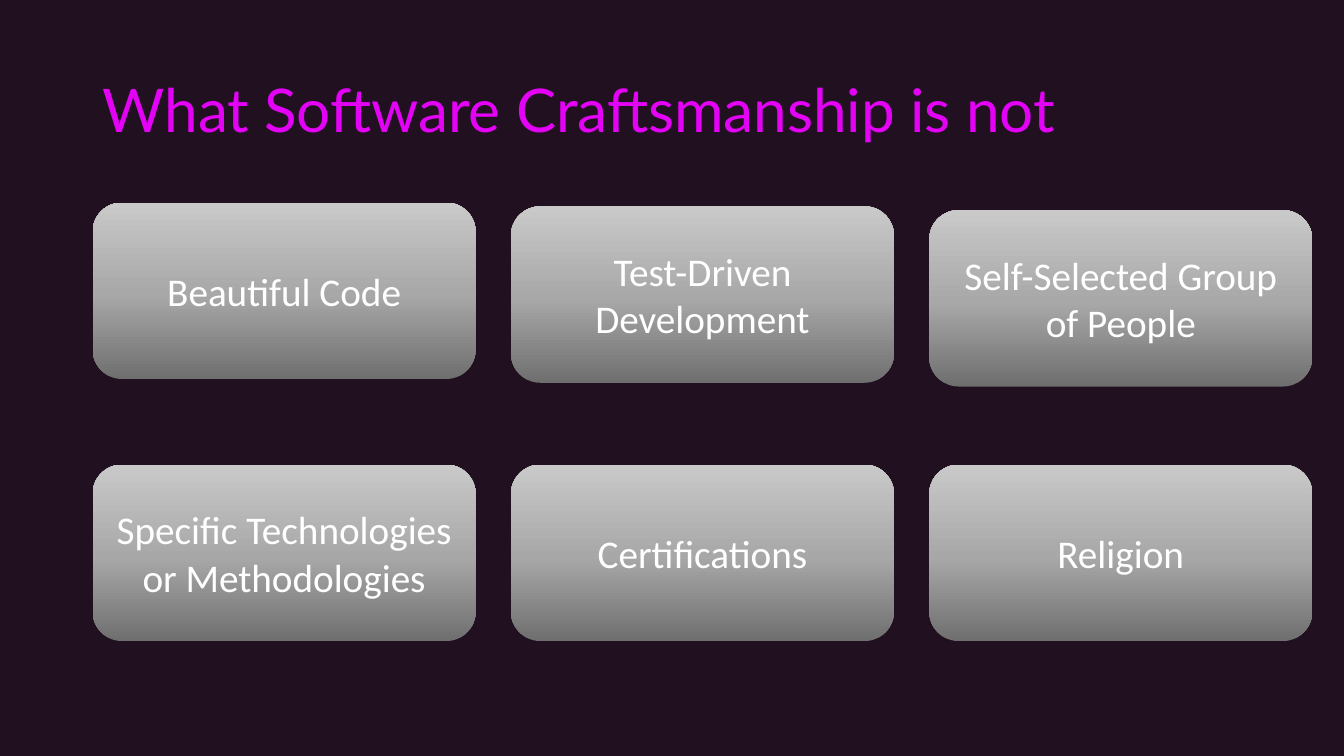
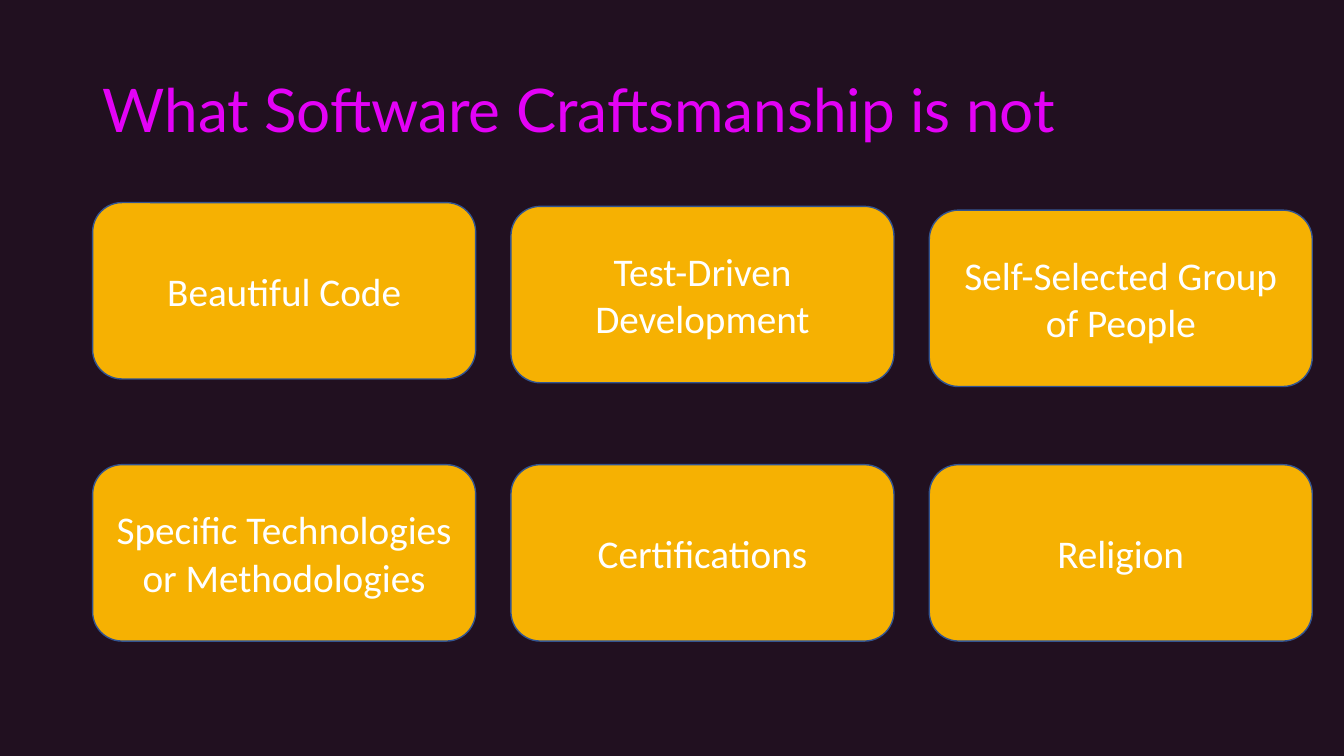
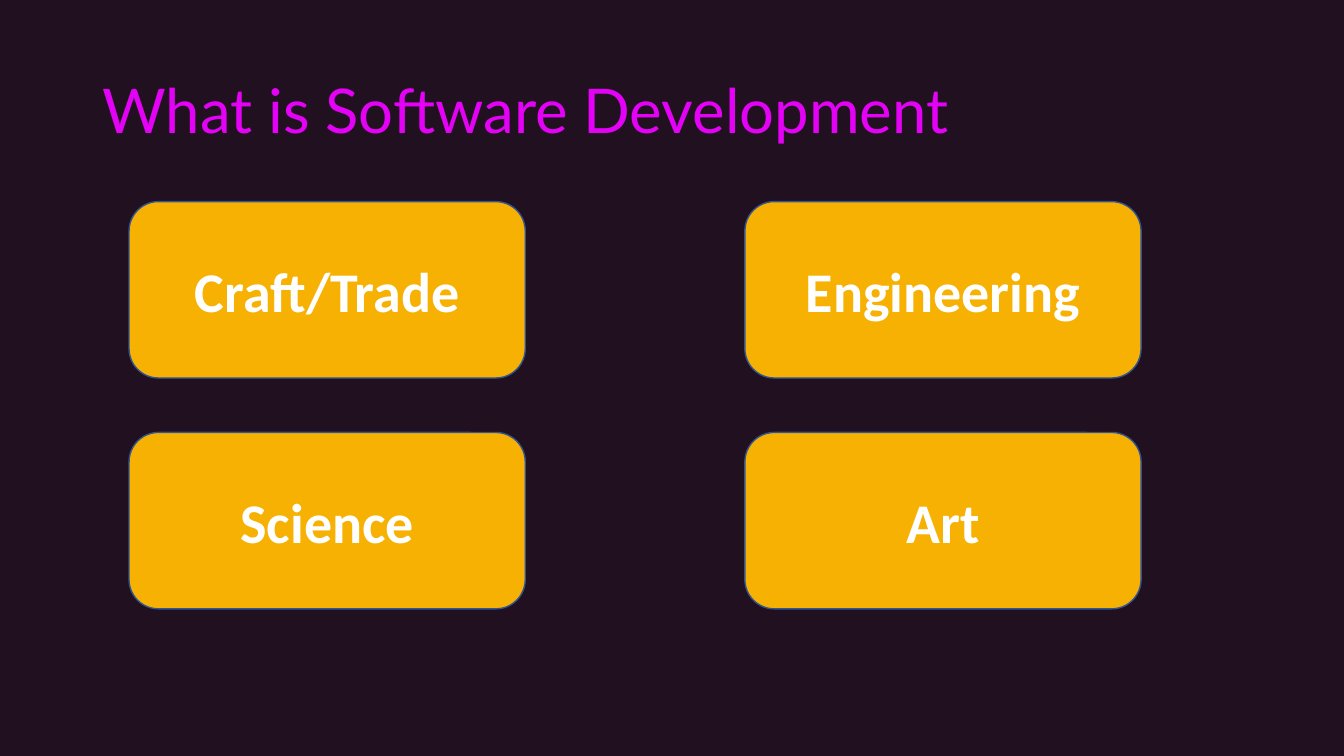
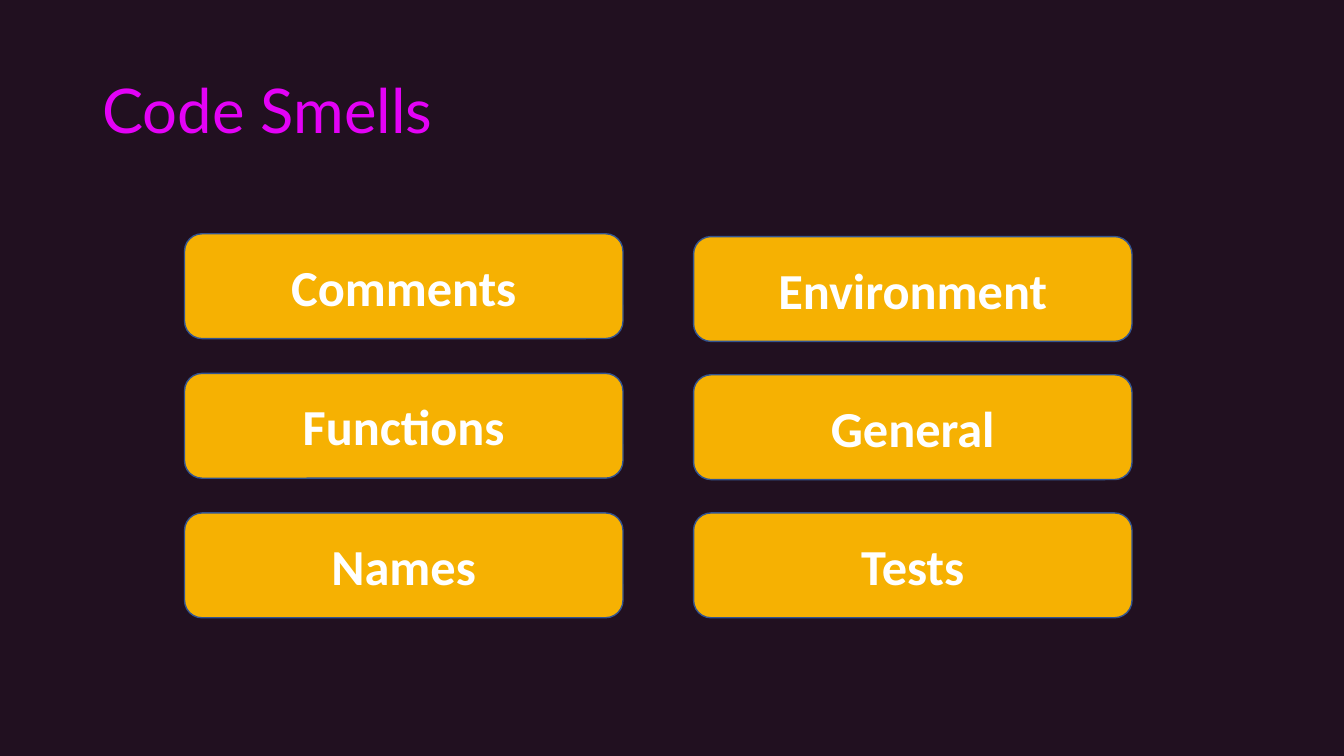
import copy

import pptx
import pptx.dml.color
import pptx.enum.shapes
import pptx.enum.text
import pptx.util

Pt = pptx.util.Pt
ALIGN = pptx.enum.text.PP_ALIGN
NIGHT, PINK, WHITE = "211020", "E302F6", "FFFFFF"
GOLD, EDGE = "F6B102", "325491"
STEEL = [(0, "6F6F6F"), (0.48, "A8A8A8"), (1, "C9C9C9")]

TITLE_BOX = (66, 29, 828, 104)
NOT_GRID = {"box": (66.2, 144.7, 871.2, 313.2), "card": (273.6, 126),
            "cols": 3, "drift": 2.7}
NOT_FONT = {"size": Pt(28), "bold": False}
NOT_TITLE = "What Software Craftsmanship is not"
NOT_NAMES = ["Beautiful Code", "Test-Driven Development",
             "Self-Selected Group of People",
             "Specific Technologies or Methodologies",
             "Certifications", "Religion"]


def paint(color, code):
    """Set a colour format from a hex string."""
    color.rgb = pptx.dml.color.RGBColor.from_string(code)


def style(part, **values):
    for name, value in values.items():
        setattr(part, name, value)


def write(frame, text, align, code, **font):
    frame.text = text
    para = frame.paragraphs[0]
    para.alignment = align
    style(para.font, **font)
    paint(para.font.color, code)
    return para


def add_page(deck, title, size):
    """Add a slide with the shared title style."""
    page = deck.slides.add_slide(deck.slide_layouts.get_by_name("Title Only"))
    head = page.shapes.title
    sides = ("left", "top", "width", "height")
    style(head, **dict(zip(sides, map(Pt, TITLE_BOX))))
    style(head.text_frame, word_wrap=True,
          auto_size=pptx.enum.text.MSO_AUTO_SIZE.NONE,
          vertical_anchor=pptx.enum.text.MSO_ANCHOR.MIDDLE)
    para = write(head.text_frame, title, ALIGN.LEFT, PINK,
                 name="Lato", size=Pt(size))
    para.line_spacing = 0.9
    return page


def fill_gold(card):
    card.fill.solid()
    paint(card.fill.fore_color, GOLD)
    paint(card.line.color, EDGE)
    card.line.width = Pt(1)


def fill_steel(card):
    card.fill.gradient()
    card.fill.gradient_angle = 90
    last = card.element.xpath(".//a:gs")[-1]
    last.addnext(copy.deepcopy(last))
    for stop, (place, code) in zip(card.fill.gradient_stops, STEEL):
        stop.position = place
        paint(stop.color, code)
    card.line.fill.background()


def add_card(page, box, text, fill, font):
    kind = pptx.enum.shapes.MSO_SHAPE.ROUNDED_RECTANGLE
    card = page.shapes.add_shape(kind, *map(Pt, box))
    card.shadow.inherit = False
    fill(card)
    style(card.text_frame, word_wrap=True,
          vertical_anchor=pptx.enum.text.MSO_ANCHOR.MIDDLE)
    write(card.text_frame, text, ALIGN.CENTER, WHITE, name="Calibri", **font)


def add_grid(page, names, fill, font, box, card, cols, drift=0):
    """Spread cards over a box; each column starts lower by drift, all end level."""
    left, top, width, height = box
    wide, high = card
    rows = len(names) // cols
    step = (width - wide) / (cols - 1)
    for i, name in enumerate(names):
        row, col = divmod(i, cols)
        drop = col * drift
        rise = (height - high - drop) / (rows - 1)
        spot = (left + col * step, top + drop + row * rise, wide, high)
        add_card(page, spot, name, fill, font)


def main():
    deck = pptx.Presentation()
    style(deck, slide_width=Pt(960), slide_height=Pt(540))
    back = deck.slide_master.background.fill
    back.solid()
    paint(back.fore_color, NIGHT)

    for fill in (fill_steel, fill_gold):
        page = add_page(deck, NOT_TITLE, 43)
        add_grid(page, NOT_NAMES, fill, NOT_FONT, **NOT_GRID)

    page = add_page(deck, "What is Software Development", 44)
    add_grid(page, ["Craft/Trade", "Engineering", "Science", "Art"],
             fill_gold, {"size": Pt(40), "bold": True},
             box=(92.2, 144, 722.9, 290.9), card=(283, 126), cols=2)

    page = add_page(deck, "Code Smells", 44)
    add_grid(page, ["Comments", "Environment", "Functions", "General",
                    "Names", "Tests"],
             fill_gold, {"size": Pt(36), "bold": True},
             box=(131.8, 167, 676.8, 274.3), card=(313.2, 74.9),
             cols=2, drift=2)

    deck.save("out.pptx")


if __name__ == "__main__":
    main()
